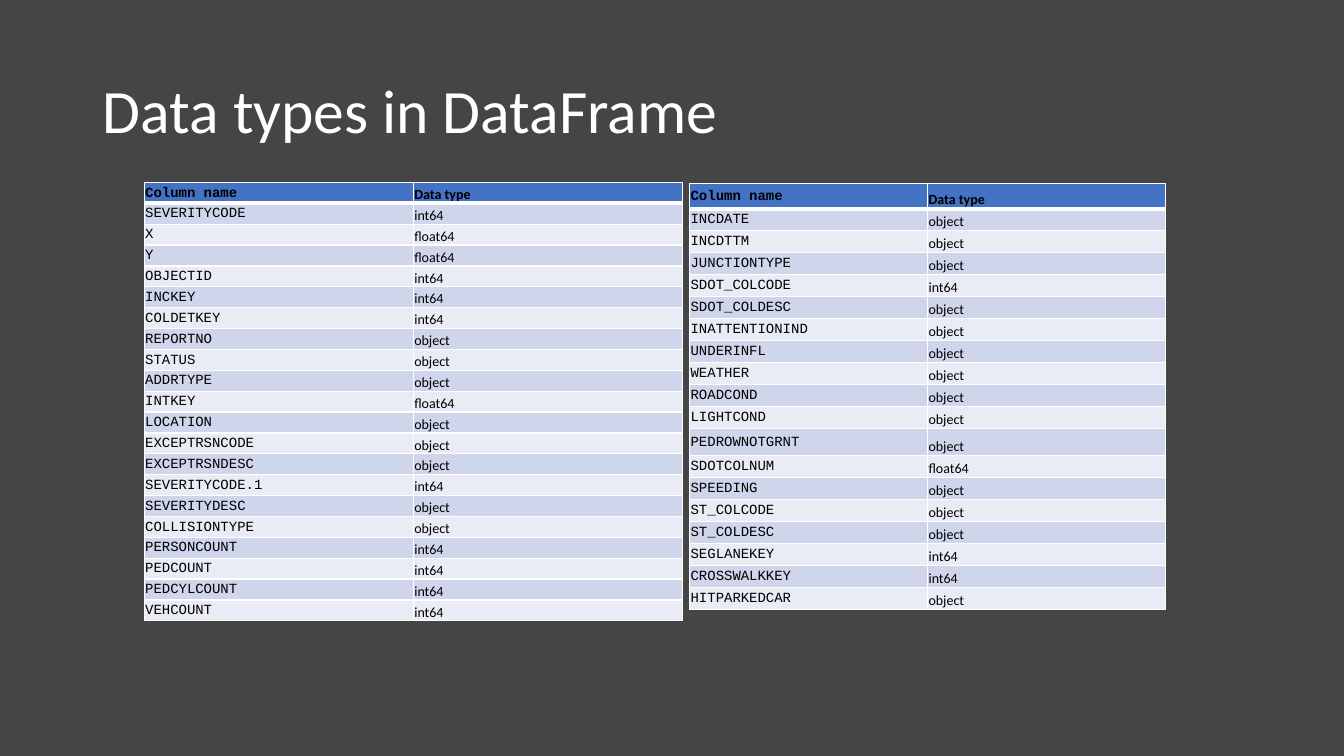
from dataclasses import dataclass

from lxml.etree import SubElement
from pptx import Presentation
from pptx.dml.color import RGBColor as RGB
from pptx.enum.text import MSO_ANCHOR as Anchor, PP_ALIGN as Align
from pptx.oxml.ns import qn
from pptx.util import Inches, Pt


@dataclass(frozen=True)
class Theme:
    background: str = "454545"
    title: str = "FFFFFF"
    text: str = "000000"
    border: str = "FFFFFF"
    header: str = "4472C4"
    bands: tuple = ("E9EBF5", "CFD5EA")
    sans: str = "Calibri"
    mono: str = "Courier New"
    title_size: int = 44
    cell_size: int = 10


theme = Theme()

LEFT_TYPES = [
    ("SEVERITYCODE", "int64"), ("X", "float64"), ("Y", "float64"),
    ("OBJECTID", "int64"), ("INCKEY", "int64"), ("COLDETKEY", "int64"),
    ("REPORTNO", "object"), ("STATUS", "object"), ("ADDRTYPE", "object"),
    ("INTKEY", "float64"), ("LOCATION", "object"), ("EXCEPTRSNCODE", "object"),
    ("EXCEPTRSNDESC", "object"), ("SEVERITYCODE.1", "int64"),
    ("SEVERITYDESC", "object"), ("COLLISIONTYPE", "object"),
    ("PERSONCOUNT", "int64"), ("PEDCOUNT", "int64"),
    ("PEDCYLCOUNT", "int64"), ("VEHCOUNT", "int64"),
]
RIGHT_TYPES = [
    ("INCDATE", "object"), ("INCDTTM", "object"), ("JUNCTIONTYPE", "object"),
    ("SDOT_COLCODE", "int64"), ("SDOT_COLDESC", "object"),
    ("INATTENTIONIND", "object"), ("UNDERINFL", "object"),
    ("WEATHER", "object"), ("ROADCOND", "object"), ("LIGHTCOND", "object"),
    ("PEDROWNOTGRNT", "object"), ("SDOTCOLNUM", "float64"),
    ("SPEEDING", "object"), ("ST_COLCODE", "object"), ("ST_COLDESC", "object"),
    ("SEGLANEKEY", "int64"), ("CROSSWALKKEY", "int64"),
    ("HITPARKEDCAR", "object"),
]


def set_borders(cell, top, bottom):
    """Draw all four cell borders; top and bottom are widths in points."""
    tcPr = cell._tc.get_or_add_tcPr()
    widths = {"a:lnL": 1, "a:lnR": 1, "a:lnT": top, "a:lnB": bottom}
    for i, (tag, width) in enumerate(widths.items()):
        ln = SubElement(tcPr, qn(tag), w=str(Pt(width)))
        fill = SubElement(ln, qn("a:solidFill"))
        SubElement(fill, qn("a:srgbClr"), val=theme.border)
        tcPr.insert(i, ln)  # borders come before the cell fill


def add_type_table(s, left, top, col_width, heights, types):
    rows = [("Column name", "Data type")] + types
    table = s.shapes.add_table(len(rows), 2, Inches(left), Inches(top),
                               Inches(2 * col_width), Inches(sum(heights))).table
    for col in table.columns:
        col.width = Inches(col_width)
    columns = ((theme.mono, Anchor.MIDDLE), (theme.sans, Anchor.BOTTOM))
    for i, (row, height) in enumerate(zip(rows, heights)):
        table.rows[i].height = Inches(height)
        for j, (font, anchor) in enumerate(columns):
            cell = table.cell(i, j)
            cell.text = row[j]
            cell.vertical_anchor = anchor
            cell.margin_left = cell.margin_right = cell.margin_top = Inches(0.01)
            cell.margin_bottom = 0
            cell.fill.solid()
            color = theme.bands[i % 2] if i else theme.header
            cell.fill.fore_color.rgb = RGB.from_string(color)
            set_borders(cell, top=3 if i == 1 else 1, bottom=1 if i else 3)
            p = cell.text_frame.paragraphs[0]
            p.font.name = font
            p.font.size = Pt(theme.cell_size)
            p.font.bold = i == 0
            p.font.color.rgb = RGB.from_string(theme.text)


prs = Presentation()
prs.slide_width, prs.slide_height = Inches(13.33), Inches(7.5)
s = prs.slides.add_slide(prs.slide_layouts[5])
s.background.fill.solid()
s.background.fill.fore_color.rgb = RGB.from_string(theme.background)

title = s.shapes.title
title.left, title.top = Inches(0.92), Inches(0.4)
title.width, title.height = Inches(11.5), Inches(1.45)
title.text = "Data types in DataFrame"
title.text_frame.vertical_anchor = Anchor.MIDDLE
p = title.text_frame.paragraphs[0]
p.alignment = Align.LEFT
p.line_spacing = 0.9
p.font.name = theme.sans
p.font.size = Pt(theme.title_size)
p.font.color.rgb = RGB.from_string(theme.title)

left_rows = len(LEFT_TYPES) + 1
left_heights = [4.35 / left_rows] * left_rows
right_heights = [0.25] + [0.27 if name == "PEDROWNOTGRNT" else 3.71 / 17
                          for name, _ in RIGHT_TYPES]
add_type_table(s, 1.43, 1.81, 2.67, left_heights, LEFT_TYPES)
add_type_table(s, 6.84, 1.82, 2.36, right_heights, RIGHT_TYPES)

prs.save("out.pptx")
